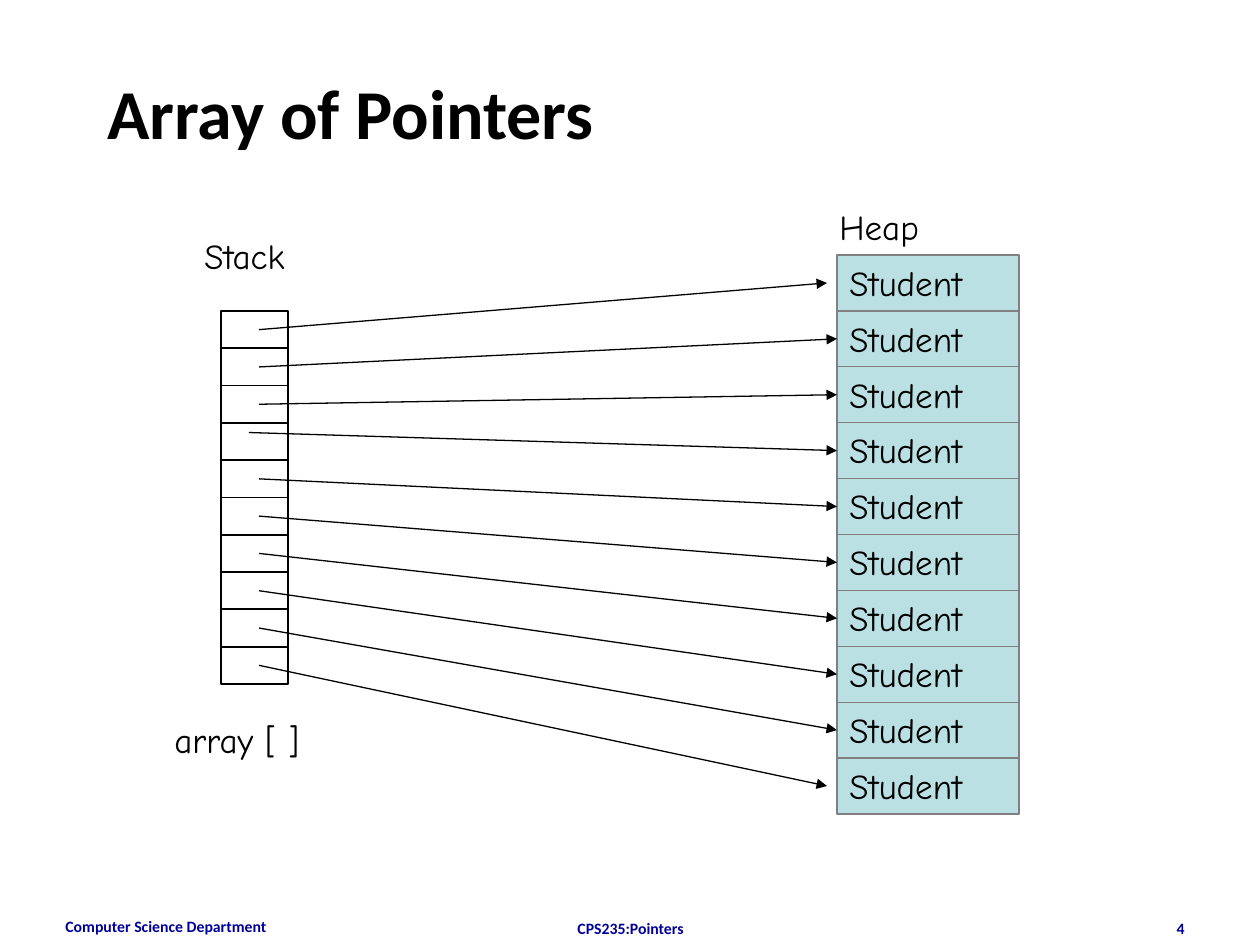
import pptx
import pptx.util
from lxml import etree
from pptx.dml.color import RGBColor
from pptx.enum.shapes import MSO_CONNECTOR, MSO_SHAPE
from pptx.enum.text import MSO_ANCHOR, PP_ALIGN
from pptx.oxml.ns import qn

BLACK = RGBColor(0x00, 0x00, 0x00)
NAVY = RGBColor(0x00, 0x00, 0x99)
GRAY = RGBColor(0x80, 0x80, 0x80)
PALE_TEAL = RGBColor(0xBB, 0xE0, 0xE3)

HEADING_FONT = "Calibri"
DIAGRAM_FONT = "Comic Neue"
COUNT = 10


def px(length):
    return pptx.util.Inches(length / 126)


def write(shape, text, size=20, font=DIAGRAM_FONT, color=BLACK, bold=False,
          align=PP_ALIGN.LEFT):
    frame = shape.text_frame
    frame.word_wrap = True
    frame.vertical_anchor = MSO_ANCHOR.TOP
    paragraph = frame.paragraphs[0]
    paragraph.alignment = align
    run = paragraph.add_run()
    run.text = text
    run.font.size = pptx.util.Pt(size)
    run.font.name = font
    run.font.bold = bold
    run.font.color.rgb = color


def add_text(slide, box, text, **style):
    label = slide.shapes.add_textbox(*map(px, box))
    write(label, text, **style)


def add_cells(slide, box, line, weight, fill=None, text=None):
    """Stack COUNT equal rectangles that fill the box; return them top down."""
    left, top, width, height = box
    cells = []
    for index in range(COUNT):
        cell = slide.shapes.add_shape(
            MSO_SHAPE.RECTANGLE, px(left), px(top + index * height / COUNT),
            px(width), px(height / COUNT))
        cell.shadow.inherit = False
        cell.line.color.rgb = line
        cell.line.width = pptx.util.Pt(weight)
        if fill is None:
            cell.fill.background()
        else:
            cell.fill.solid()
            cell.fill.fore_color.rgb = fill
        if text:
            write(cell, text)
        cells.append(cell)
    return cells


def add_stack(slide, box):
    left, top, width, height = box
    add_text(slide, (left - 29, top - 83, 125, 56), "Stack")
    add_text(slide, (left - 59, top + 401, 194, 56), "array [ ]")
    return add_cells(slide, box, BLACK, 1)


def add_heap(slide, box):
    left, top, width, height = box
    add_text(slide, (left - 10, top - 56, 192, 56), "Heap")
    return add_cells(slide, box, GRAY, 0.75, PALE_TEAL, "Student")


def add_pointers(slide, slots, students):
    """Draw an arrow from inside each slot to the student beside it."""
    for index, (slot, student) in enumerate(zip(slots, students)):
        start_x = slot.left + px(38)
        start_y = slot.top + slot.height // 2
        if index == 3:
            start_x -= px(10)
            start_y -= px(9)
        stops_short = index in (0, COUNT - 1)
        end_x = student.left - (px(10) if stops_short else 0)
        pointer = slide.shapes.add_connector(
            MSO_CONNECTOR.STRAIGHT, start_x, start_y,
            end_x, student.top + student.height // 2)
        if not stops_short:
            pointer.end_connect(student, 1)
        pointer.line.color.rgb = BLACK
        pointer.line.width = pptx.util.Pt(0.75)
        etree.SubElement(pointer.line._get_or_add_ln(), qn("a:tailEnd"), type="triangle")
        etree.SubElement(pointer._element.spPr, qn("a:effectLst"))


def add_footer(slide, top):
    style = dict(size=9, font=HEADING_FONT, color=NAVY, bold=True)
    add_text(slide, (53, top, 294, 34), "Computer Science Department", **style)
    add_text(slide, (431, top + 2, 399, 13), "CPS235:Pointers",
             align=PP_ALIGN.CENTER, **style)
    add_text(slide, (903, top + 2, 294, 13), "4", align=PP_ALIGN.RIGHT, **style)


def main():
    deck = pptx.Presentation()
    deck.slide_width, deck.slide_height = px(1260), px(945)
    slide = deck.slides.add_slide(deck.slide_layouts[6])

    add_footer(slide, 911)
    add_text(slide, (95, 63, 1071, 84), "Array of Pointers",
             size=40, font=HEADING_FONT, bold=True)
    students = add_heap(slide, (837, 255, 182, 559))
    slots = add_stack(slide, (221, 311, 67, 373))
    add_pointers(slide, slots, students)

    deck.save("out.pptx")


if __name__ == "__main__":
    main()
